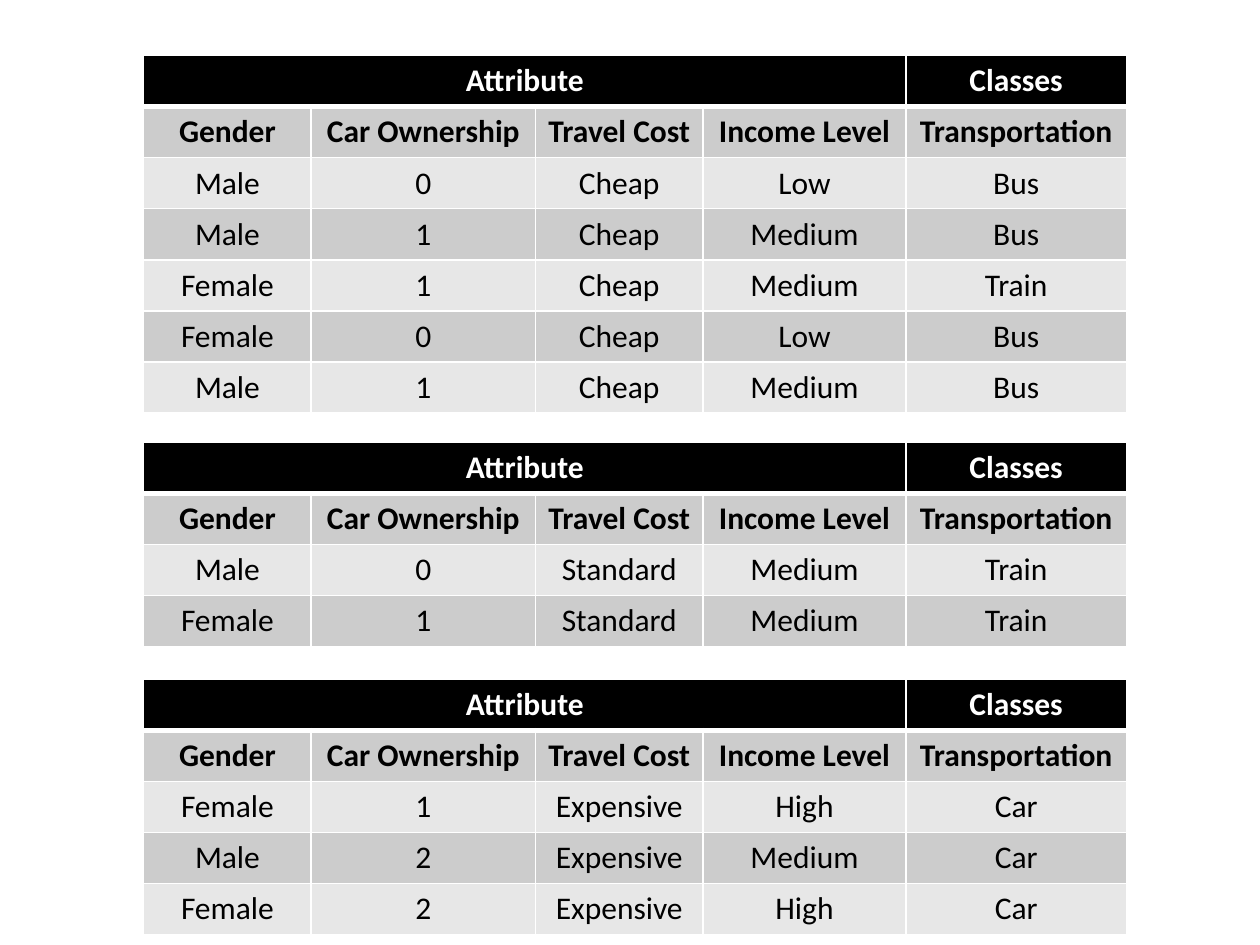
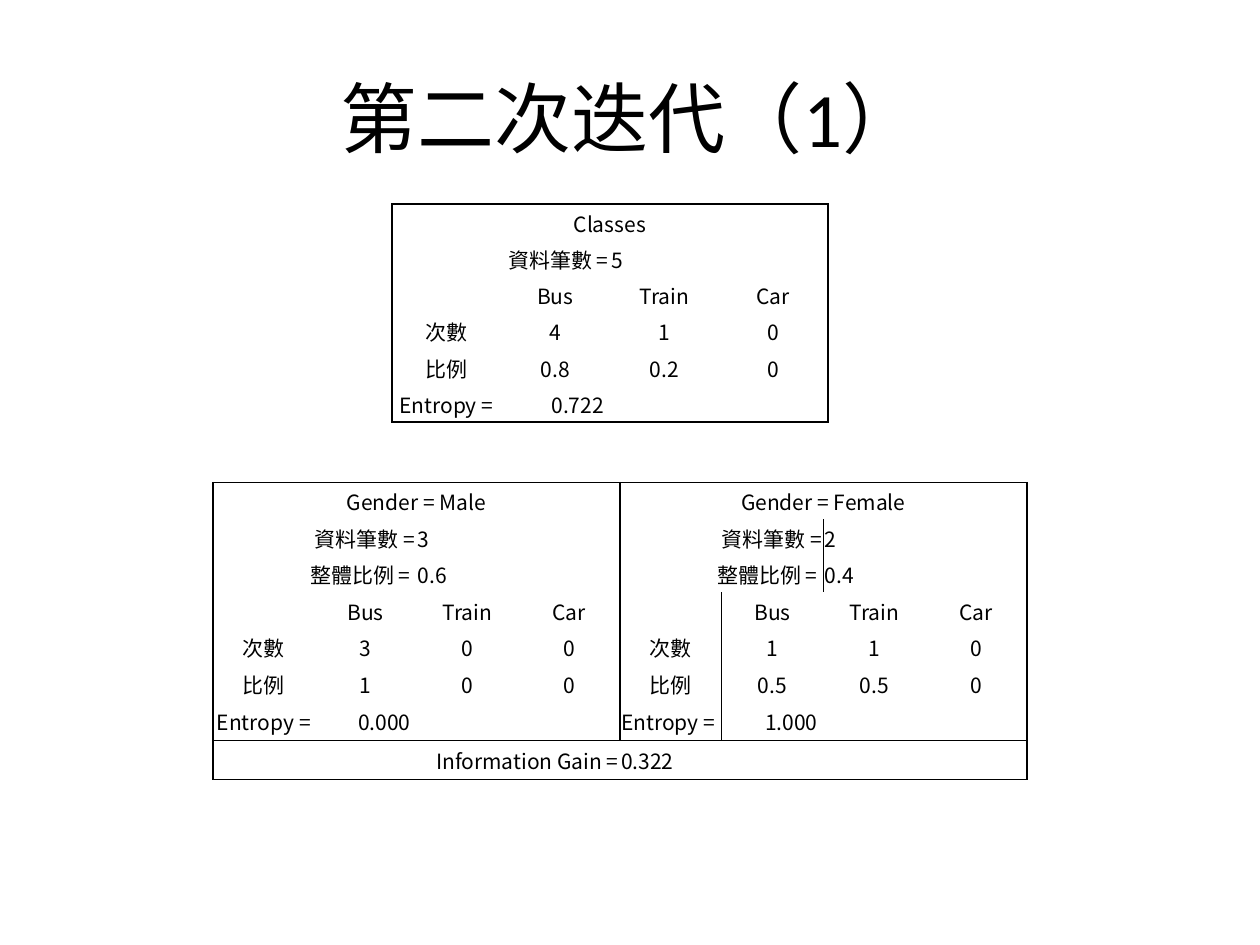
from itertools import chain
from lxml import etree
from pptx import Presentation
from pptx.dml.color import RGBColor
from pptx.enum.text import MSO_ANCHOR, PP_ALIGN
from pptx.oxml.ns import qn
from pptx.util import Inches, Pt

LEFT, CENTER, RIGHT = PP_ALIGN.LEFT, PP_ALIGN.CENTER, PP_ALIGN.RIGHT
MIDDLE = MSO_ANCHOR.MIDDLE
PLAIN_TABLE_STYLE = "{2D5ABB26-0587-4C30-8999-92F81FD0307C}"

THEME = {
    "black": "000000",
    "white": "FFFFFF",
    "bands": ("E7E7E7", "CCCCCC"),
    "cjk_font": "Noto Sans CJK TC",
    "title": {"name": "Calibri", "size": Pt(44)},
    "data": {"name": "Calibri", "size": Pt(18)},
    "statistics": {"name": "Noto Sans CJK TC", "size": Pt(12)},
    "statistics_margins": {"margin_left": Inches(0.01), "margin_right": Inches(0.01),
                           "margin_top": Inches(0.01), "margin_bottom": 0},
}


def write_text(frame, text, align, formats, color):
    """Write one formatted paragraph; an empty one still keeps its type size."""
    paragraph = frame.paragraphs[0]
    paragraph.alignment = align
    if not text:
        end = etree.SubElement(paragraph._p, qn("a:endParaRPr"))
        end.set("sz", str(int(formats["size"].pt * 100)))
        return
    run = paragraph.add_run()
    run.text = text
    for name, value in formats.items():
        setattr(run.font, name, value)
    run.font.color.rgb = RGBColor.from_string(color)
    east_asian = etree.SubElement(run.font._element, qn("a:ea"))
    east_asian.set("typeface", THEME["cjk_font"])


def add_plain_table(slide, left, top, widths, heights, rows, borders_of):
    """Add an unstyled table from rows of (text, span, align) and yield its cells.

    borders_of(row, column, span) gives {side: (color, points)}.
    """
    shape = slide.shapes.add_table(len(heights), len(widths), Inches(left), Inches(top),
                                   Inches(sum(widths)), Inches(sum(heights)))
    table = shape.table
    table.first_row = table.horz_banding = False
    shape._element.find(".//" + qn("a:tableStyleId")).text = PLAIN_TABLE_STYLE
    for column, width in zip(table.columns, widths):
        column.width = Inches(width)
    for row, height in zip(table.rows, heights):
        row.height = Inches(height)

    cells = []
    for row, entries in enumerate(rows):
        column = 0
        for text, span, align in entries:
            cell = table.cell(row, column)
            if span > 1:
                cell.merge(table.cell(row, column + span - 1))
            borders = borders_of(row, column, span)
            for covered in range(column, column + span):
                properties = table.cell(row, covered)._tc.get_or_add_tcPr()
                for side in "LRTB":
                    if side not in borders:
                        continue
                    color, points = borders[side]
                    line = etree.SubElement(properties, qn(f"a:ln{side}"), w=str(Pt(points)))
                    fill = etree.SubElement(line, qn("a:solidFill"))
                    etree.SubElement(fill, qn("a:srgbClr"), val=color)
            cell.vertical_anchor = MIDDLE
            cells.append((cell, row, text, align))
            column += span
    return cells


presentation = Presentation()
presentation.slide_width, presentation.slide_height = Inches(10), Inches(7.5)
blank_layout = presentation.slide_layouts[6]

# Slide 1: the training records, split by travel cost
slide = presentation.slides.add_slide(blank_layout)
record_widths = [1.33, 1.78, 1.33, 1.61, 1.75]
record_height = 2.84 / 7
field_names = ("Gender", "Car Ownership", "Travel Cost", "Income Level", "Transportation")
record_groups = [
    (0.44, "Cheap", [("Male", "0", "Low", "Bus"), ("Male", "1", "Medium", "Bus"),
                     ("Female", "1", "Medium", "Train"), ("Female", "0", "Low", "Bus"),
                     ("Male", "1", "Medium", "Bus")]),
    (3.51, "Standard", [("Male", "0", "Medium", "Train"), ("Female", "1", "Medium", "Train")]),
    (5.39, "Expensive", [("Female", "1", "High", "Car"), ("Male", "2", "Medium", "Car"),
                         ("Female", "2", "High", "Car")]),
]


def record_borders(row, column, span):
    borders = dict.fromkeys("LRTB", (THEME["white"], 1))
    if row < 2:
        borders["B" if row == 0 else "T"] = (THEME["white"], 3)
    return borders


for top, cost, records in record_groups:
    rows = [[("Attribute", 4, CENTER), ("Classes", 1, CENTER)],
            [(name, 1, CENTER) for name in field_names]]
    for gender, cars, income, transport in records:
        rows.append([(text, 1, CENTER) for text in (gender, cars, cost, income, transport)])
    cells = add_plain_table(slide, 1.14, top, record_widths, [record_height] * len(rows),
                            rows, record_borders)
    for cell, row, text, align in cells:
        cell.fill.solid()
        fill_color = THEME["bands"][row % 2] if row else THEME["black"]
        cell.fill.fore_color.rgb = RGBColor.from_string(fill_color)
        write_text(cell.text_frame, text, align, {**THEME["data"], "bold": row < 2},
                   THEME["black"] if row else THEME["white"])

# Slide 2: title
slide = presentation.slides.add_slide(blank_layout)
title = slide.shapes.add_textbox(Inches(0.5), Inches(0.3), Inches(9), Inches(1.25))
title.text_frame.word_wrap = True
title.text_frame.vertical_anchor = MIDDLE
write_text(title.text_frame, "第二次迭代（1）", CENTER, THEME["title"], THEME["black"])

# Slide 2: entropy of all classes, then of each gender with the information gain
# Block: heading, facts, counts, shares, entropy, alignment of the entropy label
class_block = ("Classes", [("資料筆數 =", "5")],
               ("4", "1", "0"), ("0.8", "0.2", "0"), "0.722 ", CENTER)
male_block = ("Gender = Male", [("資料筆數 =", "3"), ("整體比例 = ", "0.6")],
              ("3", "0", "0"), ("1", "0", "0"), "0.000 ", CENTER)
female_block = ("Gender = Female", [("資料筆數 =", "2"), ("整體比例 = ", "0.4")],
                ("1", "1", "0"), ("0.5", "0.5", "0"), "1.000 ", LEFT)
statistics_tables = [
    (3.11, 1.62, [3.46 / 4] * 4, [1.73 / 6] * 6, [class_block], None),
    (1.69, 3.83, [6.46 / 8] * 8, [0.29] * 6 + [0.31] * 2, [male_block, female_block], "0.322"),
]

for left, top, widths, heights, blocks, gain in statistics_tables:
    block_rows = []
    for heading, facts, counts, shares, entropy, label_align in blocks:
        grid = [("", "Bus", "Train", "Car"), ("次數", *counts), ("比例", *shares)]
        block_rows.append(
            [[(heading, 4, CENTER)]]
            + [[(label, 2, RIGHT), (value, 2, LEFT)] for label, value in facts]
            + [[(text, 1, CENTER) for text in line] for line in grid]
            + [[("Entropy =", 1, label_align), (entropy, 1, RIGHT),
                ("", 1, CENTER), ("", 1, CENTER)]])
    rows = [list(chain(*parts)) for parts in zip(*block_rows)]
    entropy_row = len(rows) - 1
    if gain:
        rows.append([("Information Gain =", 4, RIGHT), (gain, 4, LEFT)])

    def block_borders(row, column, span):
        box_width = 4 if row <= entropy_row else len(widths)
        edges = {"L": column % box_width == 0, "R": (column + span) % box_width == 0,
                 "T": row in (0, entropy_row + 1), "B": row >= entropy_row}
        return {side: (THEME["black"], 1) for side, drawn in edges.items() if drawn}

    for cell, row, text, align in add_plain_table(slide, left, top, widths, heights,
                                                  rows, block_borders):
        for name, value in THEME["statistics_margins"].items():
            setattr(cell, name, value)
        write_text(cell.text_frame, text, align, THEME["statistics"], THEME["black"])

presentation.save("out.pptx")
